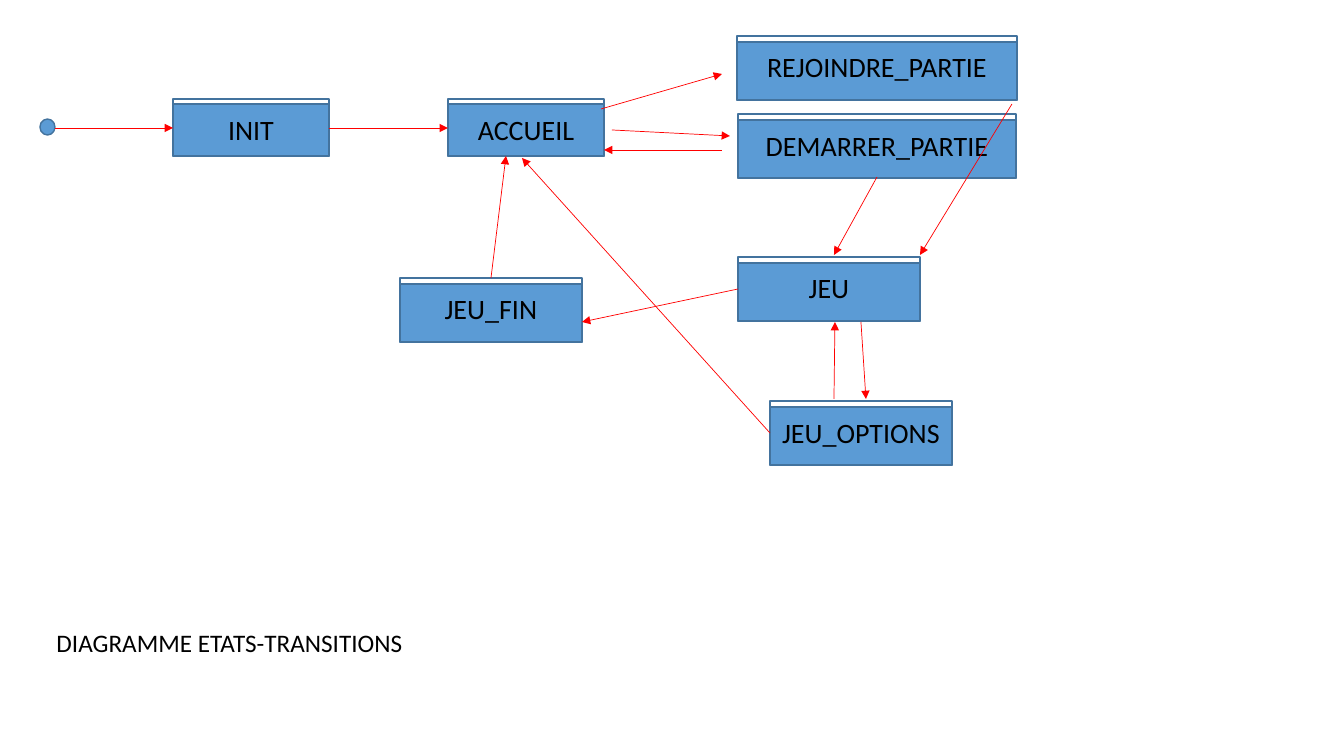
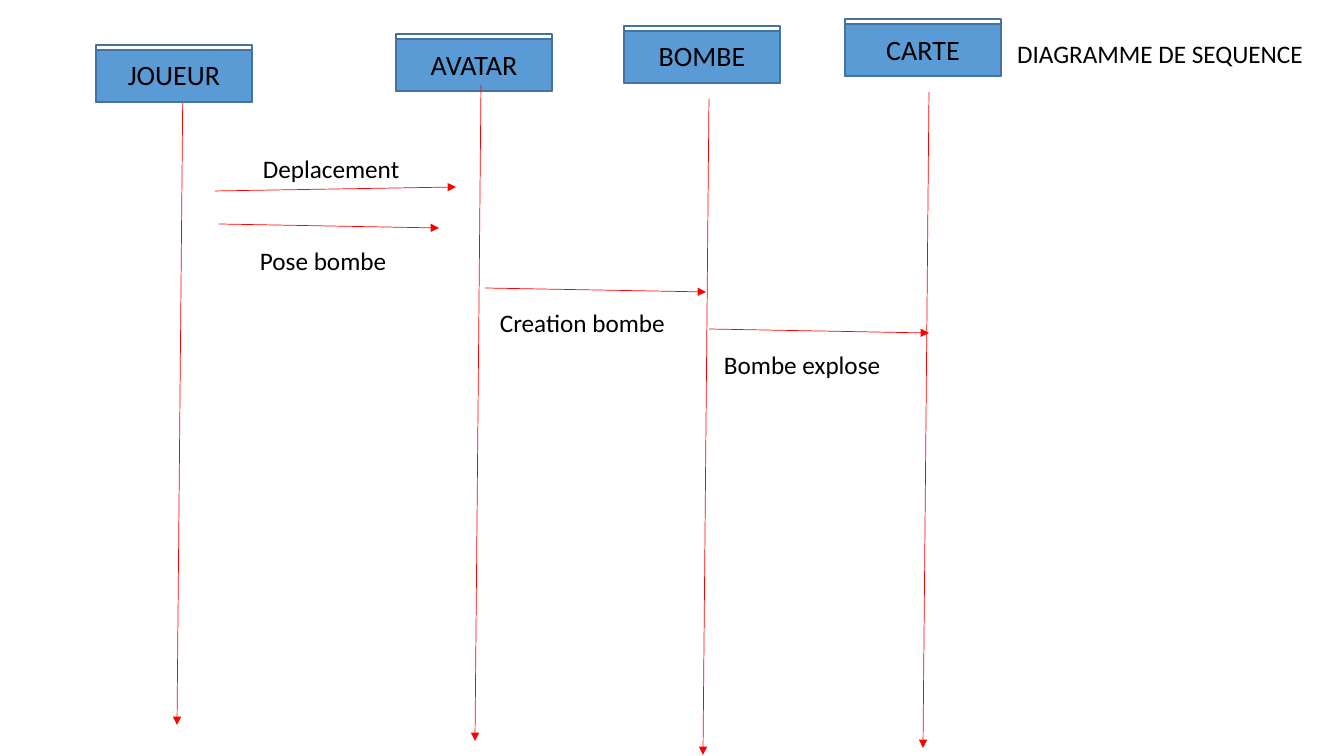
from pptx import Presentation
from pptx.dml.color import RGBColor
from pptx.enum.shapes import MSO_CONNECTOR, MSO_SHAPE
from pptx.enum.text import MSO_ANCHOR, PP_ALIGN
from pptx.oxml.ns import qn
from pptx.util import Inches, Pt
from lxml.etree import SubElement

COLORS = {"box": "5B9BD5", "border": "43739E", "arrow": "FF0000", "text": "000000"}
RGB = {part: RGBColor.from_string(value) for part, value in COLORS.items()}
FONT = "Calibri"
PX = Inches(1) / 100.8

deck = Presentation()
deck.slide_width = round(1344 * PX)
deck.slide_height = round(756 * PX)
blank = deck.slide_layouts[6]


def add_box(slide, name, left, top, width, height):
    band = round(height * 0.09)
    group = slide.shapes.add_group_shape()
    for offset in (0, band):
        box = group.shapes.add_shape(
            MSO_SHAPE.RECTANGLE, round(left * PX), round((top + offset) * PX),
            round(width * PX), round((height - offset) * PX))
        box.shadow.inherit = False
        box.line.color.rgb = RGB["border"]
        box.line.width = Pt(1)
        if offset == 0:
            box.fill.background()
            continue
        box.fill.solid()
        box.fill.fore_color.rgb = RGB["box"]
        frame = box.text_frame
        frame.text = name
        frame.word_wrap = False
        frame.vertical_anchor = MSO_ANCHOR.TOP
        frame.margin_top = round(8 * PX)
        frame.margin_bottom = 0
        frame.paragraphs[0].alignment = PP_ALIGN.CENTER
        font = frame.paragraphs[0].runs[0].font
        font.name, font.size, font.color.rgb = FONT, Pt(20), RGB["text"]


def add_arrow(slide, x1, y1, x2, y2):
    arrow = slide.shapes.add_connector(
        MSO_CONNECTOR.STRAIGHT, *(round(value * PX) for value in (x1, y1, x2, y2)))
    arrow.line.color.rgb = RGB["arrow"]
    arrow.line.width = Pt(0.5)
    SubElement(arrow.line._get_or_add_ln(), qn("a:tailEnd"), type="triangle")
    SubElement(arrow._element.spPr, qn("a:effectLst"))


state_slide = deck.slides.add_slide(blank)
start = state_slide.shapes.add_shape(
    MSO_SHAPE.OVAL, *(round(value * PX) for value in (40, 119, 15, 16)))
start.shadow.inherit = False
start.fill.solid()
start.fill.fore_color.rgb = RGB["box"]
start.line.color.rgb = RGB["border"]
start.line.width = Pt(1)

states = [
    ("INIT", 173, 99, 156, 57),
    ("ACCUEIL", 448, 99, 156, 57),
    ("JEU", 738, 257, 182, 64),
    ("DEMARRER_PARTIE", 738, 114, 278, 64),
    ("JEU_OPTIONS", 770, 401, 182, 64),
    ("JEU_FIN", 400, 278, 182, 64),
    ("REJOINDRE_PARTIE", 737, 36, 280, 64),
]
for state in states:
    add_box(state_slide, *state)

transitions = [
    (55, 128, 173, 128),
    (329, 128, 448, 128),
    (877, 177, 834, 255),
    (722, 150, 604, 150),
    (612, 130, 730, 136),
    (861, 322, 866, 399),
    (834, 399, 835, 322),
    (770, 433, 522, 158),
    (738, 289, 582, 322),
    (491, 278, 506, 156),
    (601, 109, 722, 74),
    (1012, 104, 920, 255),
]
for transition in transitions:
    add_arrow(state_slide, *transition)

sequence_slide = deck.slides.add_slide(blank)
player_lifeline, *other_lifelines = [
    (x, y, x - 6, y + 656) for x, y in ((183, 69), (481, 85), (709, 99), (929, 92))]
add_arrow(sequence_slide, *player_lifeline)

participants = [("JOUEUR", 96, 45), ("AVATAR", 396, 34), ("BOMBE", 624, 26), ("CARTE", 845, 19)]
for name, left, top in participants:
    add_box(sequence_slide, name, left, top, 156, 57)

messages = [
    (215, 191, 456, 187),
    (219, 224, 439, 228),
    (485, 288, 706, 292),
    (709, 329, 929, 333),
]
for ends in other_lifelines + messages:
    add_arrow(sequence_slide, *ends)

captions = [
    (state_slide, "DIAGRAMME ETATS-TRANSITIONS", 45, 622, 369, PP_ALIGN.CENTER),
    (sequence_slide, "DIAGRAMME DE SEQUENCE", 1006, 33, 308, PP_ALIGN.CENTER),
    (sequence_slide, "Deplacement", 253, 148, 158, PP_ALIGN.LEFT),
    (sequence_slide, "Pose bombe", 250, 240, 148, PP_ALIGN.LEFT),
    (sequence_slide, "Creation bombe", 490, 302, 187, PP_ALIGN.LEFT),
    (sequence_slide, "Bombe explose", 714, 344, 178, PP_ALIGN.LEFT),
]
for slide, wording, left, top, width, alignment in captions:
    caption = slide.shapes.add_textbox(
        *(round(value * PX) for value in (left, top, width, 40)))
    caption.text_frame.text = wording
    caption.text_frame.word_wrap = False
    paragraph = caption.text_frame.paragraphs[0]
    paragraph.alignment = alignment
    font = paragraph.runs[0].font
    font.name, font.size, font.color.rgb = FONT, Pt(18), RGB["text"]

deck.save("out.pptx")
